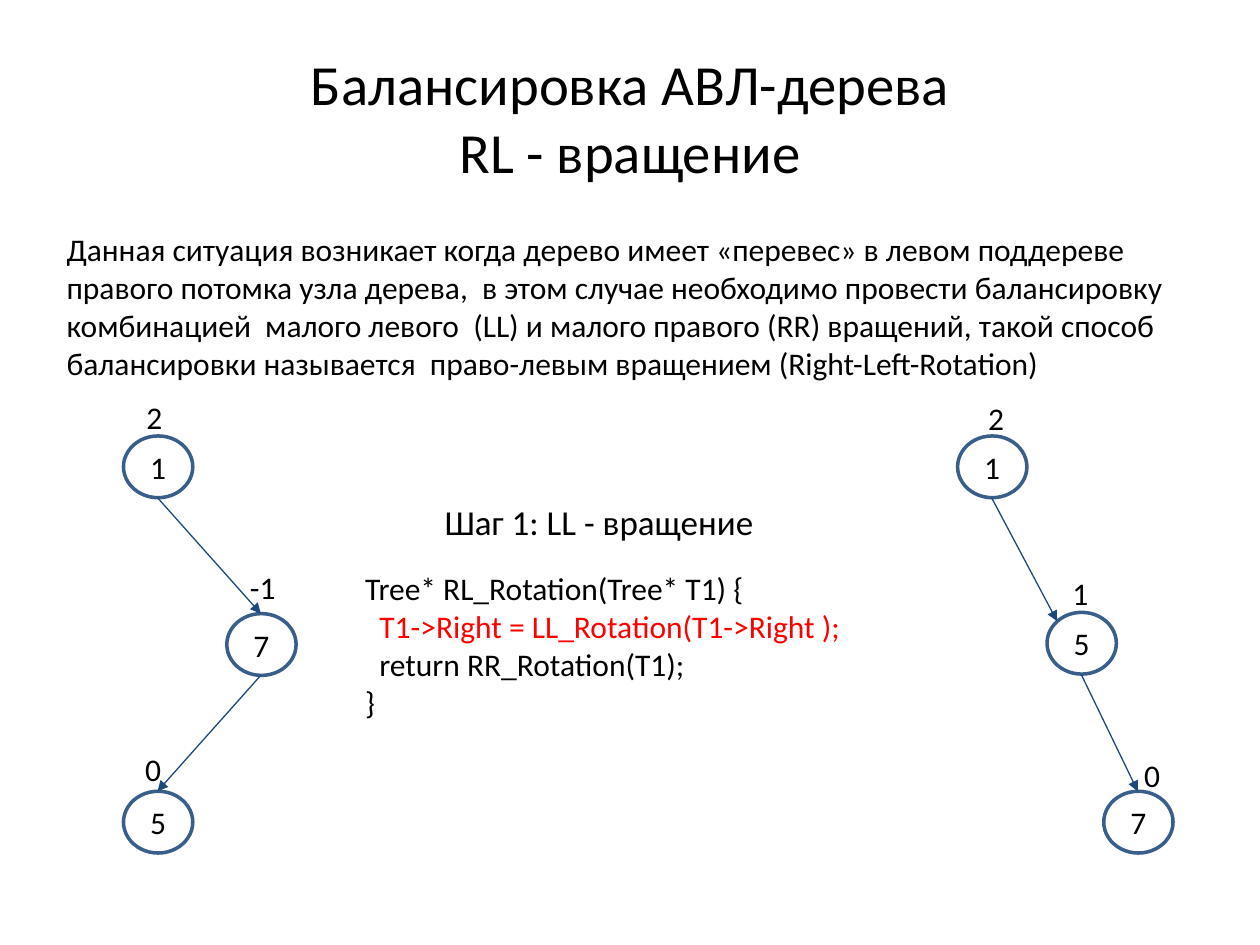
from collections import namedtuple
from lxml.etree import SubElement
from pptx import Presentation
from pptx.dml.color import RGBColor
from pptx.enum.shapes import MSO_CONNECTOR as Link, MSO_SHAPE as Preset
from pptx.enum.text import MSO_ANCHOR as Anchor, PP_ALIGN as Align
from pptx.oxml.ns import qn
from pptx.util import Emu, Pt

PX = 9144
BLACK, RED, OUTLINE, EDGE = "000000", "FF0000", "395E89", "1F497D"
NODE_W, NODE_H = 55, 49
LABEL_W, LABEL_H = 57, 40
TOP, TOP_LEFT = (NODE_W // 2, 0), (8, 7)

Box = namedtuple("Box", "left top width height")
Node = namedtuple("Node", "key x y balance label_x label_y landing")

LEFT_TREE = [
    Node("1", 5, 35, "2", 1, 0, TOP),
    Node("7", 87, 176, "-1", 87, 135, TOP),
    Node("5", 5, 317, "0", 0, 279, TOP),
]
RIGHT_TREE = [
    Node("1", 0, 34, "2", 2, 0, TOP),
    Node("5", 71, 174, "1", 69, 139, TOP_LEFT),
    Node("7", 116, 316, "0", 126, 283, TOP),
]
CODE = [
    ("Tree* RL_Rotation(Tree* T1) {", BLACK),
    ("  T1->Right = LL_Rotation(T1->Right );", RED),
    ("  return RR_Rotation(T1);", BLACK),
    ("}", BLACK),
]
SITUATION = (
    "Данная ситуация возникает когда дерево имеет «перевес» в левом поддереве "
    "правого потомка узла дерева,  в этом случае необходимо провести балансировку  "
    "комбинацией  малого левого  (LL) и малого правого (RR) вращений, такой способ "
    "балансировки называется  право-левым вращением (Right-Left-Rotation)"
)


def px(*lengths):
    return [Emu(length * PX) for length in lengths]


def color(hex_value):
    return RGBColor.from_string(hex_value)


def write(frame, lines, size=18, align=Align.LEFT, anchor=Anchor.TOP):
    for name, value in {"word_wrap": True, "vertical_anchor": anchor}.items():
        setattr(frame, name, value)
    for index, (text, ink) in enumerate(lines):
        paragraph = frame.add_paragraph() if index else frame.paragraphs[0]
        paragraph.text = text
        paragraph.alignment = align
        for run in paragraph.runs:
            for name, value in {"name": "Calibri", "size": Pt(size)}.items():
                setattr(run.font, name, value)
            run.font.color.rgb = color(ink)


def text_box(shapes, box, lines, **style):
    write(shapes.add_textbox(*px(*box)).text_frame, lines, **style)


def node_circle(shapes, box, key):
    circle = shapes.add_shape(Preset.OVAL, *px(*box))
    circle.shadow.inherit = False
    circle.fill.background()
    circle.line.color.rgb = color(OUTLINE)
    circle.line.width = Pt(2)
    write(circle.text_frame, [(key, BLACK)], align=Align.CENTER, anchor=Anchor.MIDDLE)


def edge(shapes, start, end):
    arrow = shapes.add_connector(Link.STRAIGHT, *px(*start, *end))
    arrow.line.color.rgb = color(EDGE)
    arrow.line.width = Pt(0.75)
    SubElement(arrow.line._get_or_add_ln(), qn("a:tailEnd"), type="triangle")
    SubElement(arrow._element.spPr, qn("a:effectLst"))


def tree(shapes, box, nodes):
    for node in nodes:
        node_circle(shapes, Box(box.left + node.x, box.top + node.y, NODE_W, NODE_H), node.key)
        text_box(shapes, Box(box.left + node.label_x, box.top + node.label_y, LABEL_W, LABEL_H),
                 [(node.balance, BLACK)], align=Align.CENTER)
    for parent, child in zip(nodes, nodes[1:]):
        dx, dy = child.landing
        edge(shapes,
             (box.left + parent.x + NODE_W // 2, box.top + parent.y + NODE_H),
             (box.left + child.x + dx, box.top + child.y + dy))


def heading(shapes, box):
    text_box(shapes, box, [("Балансировка АВЛ-дерева\vRL - вращение", BLACK)],
             size=32.4, align=Align.CENTER, anchor=Anchor.MIDDLE)


def step(shapes, box):
    text_box(shapes, Box(box.left + 63, box.top, 315, 44),
             [("Шаг 1: LL - вращение", BLACK)], size=20)
    text_box(shapes, Box(box.left, box.top + 55, box.width, box.height - 55), CODE)


def main():
    deck = Presentation()
    deck.slide_width, deck.slide_height = px(1000, 750)
    shapes = deck.slides.add_slide(deck.slide_layouts[6]).shapes
    heading(shapes, Box(50, 30, 900, 125))
    text_box(shapes, Box(43, 178, 902, 142), [(SITUATION, BLACK)])
    tree(shapes, Box(93, 311, 144, 366), LEFT_TREE)
    tree(shapes.add_group_shape().shapes, Box(760, 312, 183, 365), RIGHT_TREE)
    step(shapes, Box(280, 392, 411, 247))
    deck.save("out.pptx")


if __name__ == "__main__":
    main()
